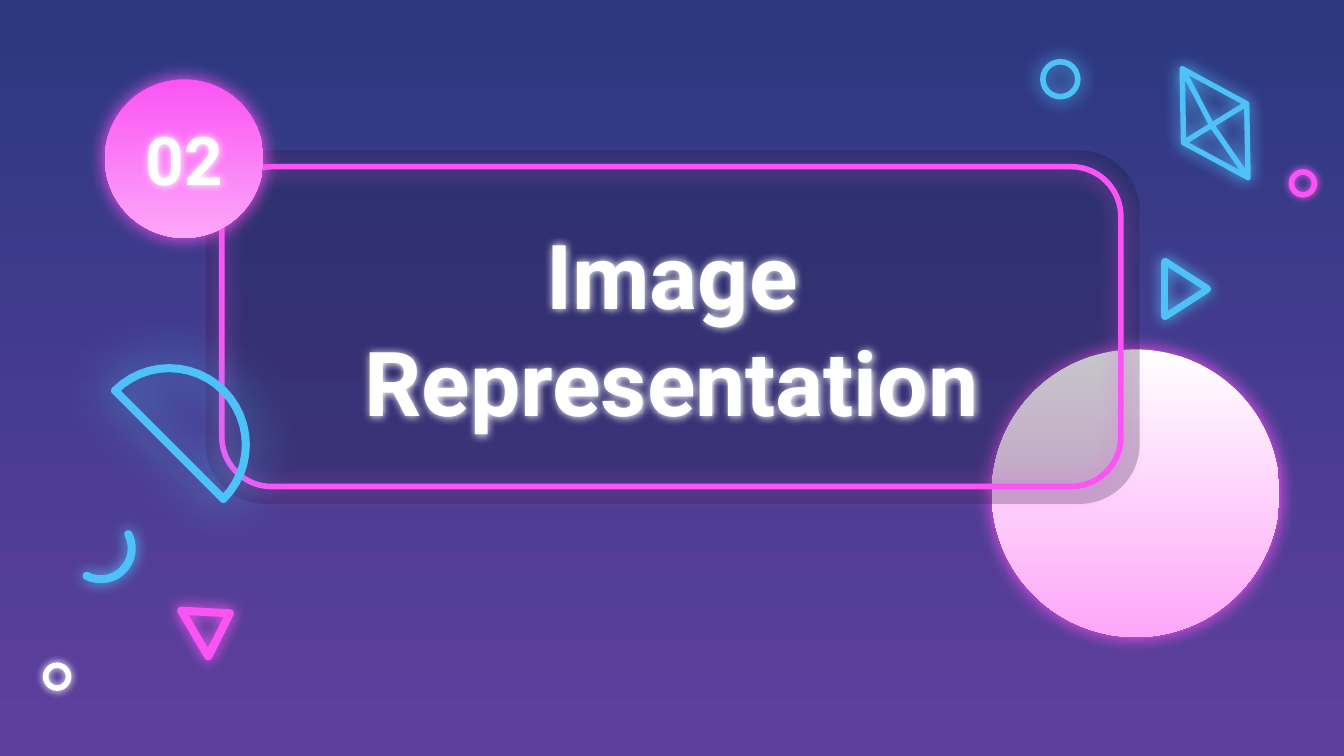
import math
from dataclasses import dataclass

import lxml.etree
import pptx
import pptx.dml.color
import pptx.enum.shapes
import pptx.enum.text
import pptx.oxml.ns
import pptx.util

Inches = pptx.util.Inches
Pt = pptx.util.Pt
Kind = pptx.enum.shapes.MSO_SHAPE


@dataclass(frozen=True)
class Theme:
    font: str = "Roboto"
    head: int = 48
    count: int = 36
    line: int = 3
    top: str = "2B3880"
    base: str = "5F3F9E"
    pink: str = "FB54F4"
    pale: str = "FDA7F9"
    blue: str = "4FC1F9"
    white: str = "FFFFFF"
    dark: str = "0F1524"


theme = Theme()


def color(code):
    return pptx.dml.color.RGBColor.from_string(code)


def child(parent, tag, **values):
    return lxml.etree.SubElement(parent, pptx.oxml.ns.qn(tag), values)


def blend(fill, start, end):
    fill.gradient()
    fill.gradient_angle = 270
    for stop, code in zip(fill.gradient_stops, (start, end)):
        stop.color.rgb = color(code)


def glow(shape, code, blur, alpha=100, drop=0):
    shape.shadow.inherit = False
    effects = shape._element.spPr.find(pptx.oxml.ns.qn("a:effectLst"))
    shade = child(effects, "a:outerShdw", blurRad=str(Pt(blur)), dist=str(Pt(drop)),
                  dir="5400000", algn="bl", rotWithShape="0")
    child(child(shade, "a:srgbClr", val=code), "a:alpha", val=str(alpha * 1000))


def add(shapes, kind, x, y, w, h):
    shape = shapes.add_shape(kind, Inches(x), Inches(y), Inches(w), Inches(h))
    shape.shadow.inherit = False
    shape.fill.background()
    shape.line.fill.background()
    return shape


def stroke(shape, code):
    shape.line.color.rgb = color(code)
    shape.line.width = Pt(theme.line)


def ring(slide, x, y, size, code, blur):
    shape = add(slide.shapes, Kind.OVAL, x, y, size, size)
    stroke(shape, code)
    glow(shape, code, blur)


def disc(slide, box, start, end):
    shape = add(slide.shapes, Kind.OVAL, *box)
    blend(shape.fill, start, end)
    glow(shape, theme.pink, 10.1)


def label(slide, x, y, w, h, words, size):
    shape = slide.shapes.add_textbox(Inches(x), Inches(y), Inches(w), Inches(h))
    glow(shape, theme.white, 4.5)
    frame = shape.text_frame
    frame.word_wrap = True
    frame.vertical_anchor = pptx.enum.text.MSO_ANCHOR.MIDDLE
    frame.margin_left = frame.margin_right = Inches(0.1)
    frame.margin_top = frame.margin_bottom = Inches(0.1)
    line = frame.paragraphs[0]
    line.text = words
    line.alignment = pptx.enum.text.PP_ALIGN.CENTER
    line.font.name = theme.font
    line.font.size = Pt(size)
    line.font.bold = True
    line.font.color.rgb = color(theme.white)


def arc(x, y, radius, start, end, steps=24):
    turns = [math.radians(start + (end - start) * i / steps) for i in range(steps + 1)]
    return [(x + radius * math.cos(t), y + radius * math.sin(t)) for t in turns]


def corners(points):
    for i, (x, y) in enumerate(points):
        (px, py), (nx, ny) = points[i - 1], points[(i + 1) % len(points)]
        yield x, y, math.atan2(px - x, y - py), math.atan2(x - nx, ny - y)


def swell(points, half):
    edge = []
    for x, y, first, last in corners(points):
        start = math.degrees(first)
        sweep = math.degrees(last - first) % 360
        edge += arc(x, y, half, start, start + sweep, 6)
    return edge


def inset(points, half):
    edge = []
    for x, y, first, last in corners(points):
        scale = half / (1 + math.cos(last - first))
        edge.append((x - scale * (math.cos(first) + math.cos(last)),
                     y - scale * (math.sin(first) + math.sin(last))))
    return edge


def trace(slide, loops, x, y, code, blur, turn=0, pivot=(0, 0)):
    cos, sin = math.cos(math.radians(-turn)), math.sin(math.radians(-turn))

    def place(point):
        dx, dy = point[0] - pivot[0], point[1] - pivot[1]
        return (Inches(x + pivot[0] + dx * cos - dy * sin),
                Inches(y + pivot[1] + dx * sin + dy * cos))

    paths = [[place(point) for point in loop] for loop in loops]
    pen = slide.shapes.build_freeform(*paths[0][0], scale=1)
    pen.add_line_segments(paths[0][1:])
    for path in paths[1:]:
        pen.move_to(*path[0])
        pen.add_line_segments(path[1:])
    shape = pen.convert_to_shape()
    shape.rotation = turn
    shape.fill.solid()
    shape.fill.fore_color.rgb = color(code)
    shape.line.fill.background()
    glow(shape, code, blur)


def panel(slide, box, words):
    x, y, w, h = box
    group = slide.shapes.add_group_shape()
    pane = add(group.shapes, Kind.ROUNDED_RECTANGLE, x, y, w, h)
    pane.adjustments[0] = 0.17
    pane.fill.solid()
    pane.fill.fore_color.rgb = color(theme.dark)
    tint = pane._element.spPr.find(".//" + pptx.oxml.ns.qn("a:srgbClr"))
    child(tint, "a:alpha", val="24000")
    rim = add(group.shapes, Kind.ROUNDED_RECTANGLE, x + 0.12, y + 0.12, w - 0.26, h - 0.25)
    rim.adjustments[0] = 0.156
    stroke(rim, theme.pink)
    glow(rim, theme.pink, 11.3, 62, 1.5)
    label(slide, x + 0.45, y + 0.4, w - 0.91, h - 0.8, words, theme.head)


def badge(slide, box, words):
    x, y, w, h = box
    disc(slide, box, theme.pink, theme.pale)
    label(slide, x - 0.01, y + 0.24, w + 0.02, 0.7, words, theme.count)


def left(slide, box):
    x, y, w, h = box
    bowl = arc(0.92, 0.61, 0.57, -135, 45)
    trace(slide, [swell(bowl, 0.03), inset(bowl, 0.03)], x, y, theme.blue, 27)
    mid, size, half = (0.41, 1.38), 0.23, 0.03
    start, end = -27, 117
    middle = arc(*mid, size, start, end)
    hook = (arc(*mid, size + half, start, end) + arc(*middle[-1], half, end, end + 180)
            + arc(*mid, size - half, end, start)
            + arc(*middle[0], half, start + 180, start + 360))
    trace(slide, [hook], x, y, theme.blue, 7.9)
    wedge = [(1.01, 1.85), (1.37, 1.87), (1.21, 2.19)]
    trace(slide, [swell(wedge, 0.03), inset(wedge, 0.03)], x, y, theme.pink, 7.9,
          329.4, (1.25, 1.94))
    ring(slide, x, y + h - 0.17, 0.17, theme.white, 4.5)


def right(slide, box):
    x, y, w, h = box
    kite = [(1.04, 0.1), (1.52, 0.36), (1.53, 0.91), (1.05, 0.65)]
    hub = (1.26, 0.52)
    holes = [inset([kite[i - 1], kite[i], hub], 0.02) for i in range(4)]
    trace(slide, [swell(kite, 0.02)] + holes, x, y, theme.blue, 9, 328.9, (1.28, 0.5))
    arrow = [(0.91, 1.54), (1.22, 1.74), (0.91, 1.94)]
    trace(slide, [swell(arrow, 0.03), inset(arrow, 0.02)], x, y, theme.blue, 7.9)
    ring(slide, x, y + 0.05, 0.26, theme.blue, 10.1)
    ring(slide, x + w - 0.17, y + 0.87, 0.17, theme.pink, 4.5)


def main():
    deck = pptx.Presentation()
    deck.slide_width, deck.slide_height = Inches(10), Inches(10 * 9 / 16)
    slide = deck.slides.add_slide(deck.slide_layouts[6])
    blend(slide.background.fill, theme.top, theme.base)
    disc(slide, (7.38, 2.6, 2.14, 2.14), theme.white, theme.pale)
    panel(slide, (1.53, 1.12, 6.95, 2.63), "Image Representation")
    badge(slide, (0.78, 0.59, 1.18, 1.18), "02")
    left(slide, (0.34, 2.7, 1.59, 2.42))
    right(slide, (7.76, 0.41, 2.02, 1.97))
    deck.save("out.pptx")


if __name__ == "__main__":
    main()
